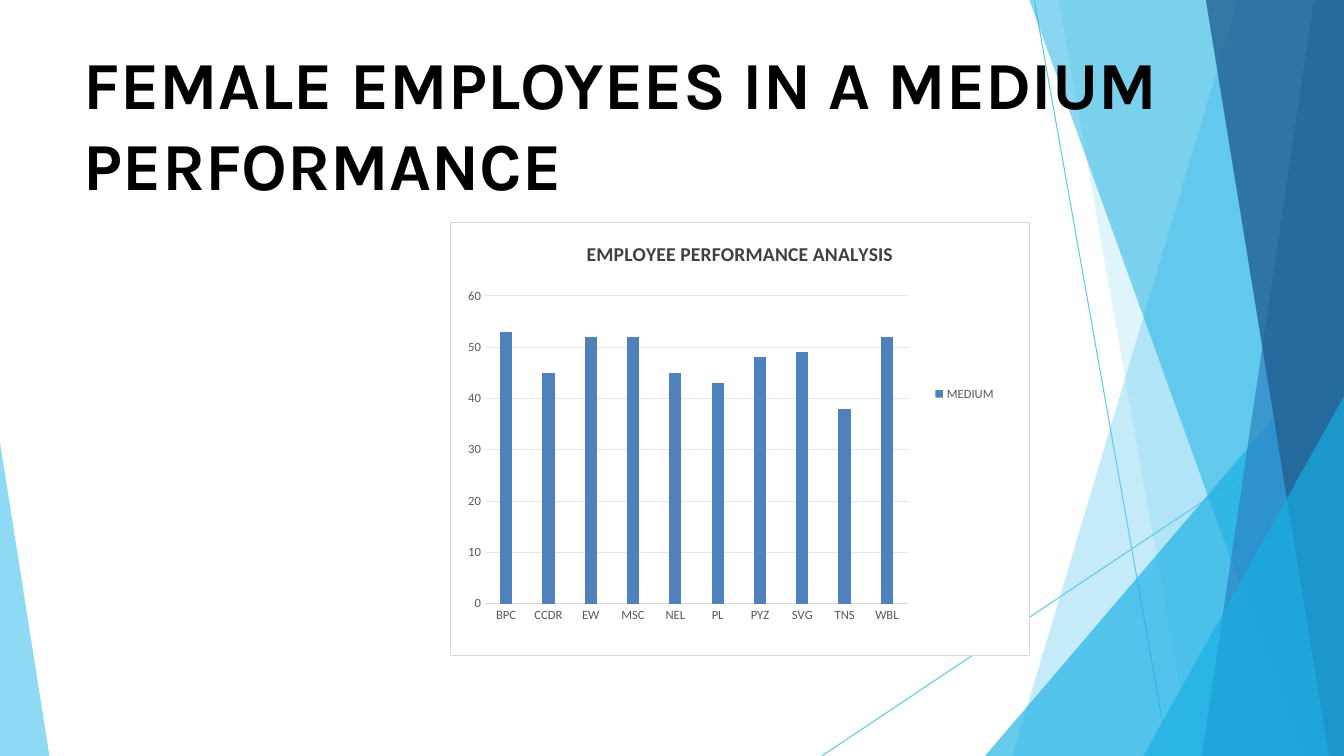
from lxml import etree
from pptx import Presentation, util as u
from pptx.chart.data import CategoryChartData
from pptx.dml.color import RGBColor
from pptx.enum import chart as ch, shapes, text
from pptx.oxml import parse_xml
from pptx.oxml.ns import nsdecls, qn

W, H = 13.33, 7.5
COLORS = {"sky": "5FCAEE", "cyan": "17AFE3", "blue": "2D83C3", "navy": "226192",
          "bar": "4F81BD", "edge": "D9D9D9", "grid": "E6E6E6", "label": "595959",
          "head": "404040", "black": "000000", "white": "FFFFFF"}
TITLE = "FEMALE EMPLOYEES IN A MEDIUM PERFORMANCE"
HEAD = "EMPLOYEE PERFORMANCE ANALYSIS"
SERIES = "MEDIUM"
SCORES = {"BPC": 53, "CCDR": 45, "EW": 52, "MSC": 52, "NEL": 45,
          "PL": 43, "PYZ": 48, "SVG": 49, "TNS": 38, "WBL": 52}
LINES = [(10.26, 0.01, 11.59, H), (W, 4.04, 8.15, H)]
# Colour, opacity in percent, corner points
FACETS = [
    ("sky", 36, [(W, 0), (12.28, 0), (10.04, H), (W, H)]),
    ("sky", 20, [(W, 0), (10.5, 0), (11.82, H), (W, H)]),
    ("cyan", 66, [(W, 3.33), (9.77, H), (W, H)]),
    ("cyan", 50, [(W, 0), (10.21, 0), (12.91, H), (W, H)]),
    ("blue", 70, [(W, 0), (13.03, 0), (11.92, H), (W, H)]),
    ("navy", 80, [(W, 0), (11.96, 0), (13.18, H), (W, H)]),
    ("cyan", 66, [(W, 3.93), (11.34, H), (W, H)]),
    ("sky", 70, [(0, 4.39), (0, H), (0.49, H)]),
]


def rgb(name):
    return RGBColor.from_string(COLORS[name])


def style(font, face, size, color, bold=False):
    font.name, font.size, font.bold = face, u.Pt(size), bold
    font.color.rgb = rgb(color)


def stroke(line, color):
    line.color.rgb = rgb(color)
    line.width = u.Pt(0.75)


def add_line(slide, ends):
    line = slide.shapes.add_connector(shapes.MSO_CONNECTOR.STRAIGHT, *map(u.Inches, ends))
    stroke(line.line, "sky")
    etree.SubElement(line._element.spPr, qn("a:effectLst"))


def add_facet(slide, color, alpha, points):
    spots = [(u.Inches(x), u.Inches(y)) for x, y in points]
    form = slide.shapes.build_freeform(*spots[0])
    form.add_line_segments(spots[1:], close=True)
    facet = form.convert_to_shape()
    facet.shadow.inherit = False
    facet.line.fill.background()
    facet.fill.solid()
    facet.fill.fore_color.rgb = rgb(color)
    tone = facet._element.spPr.find(".//" + qn("a:srgbClr"))
    etree.SubElement(tone, qn("a:alpha")).set("val", str(alpha * 1000))


def add_title(slide):
    box = slide.shapes.add_textbox(*map(u.Inches, (0.83, 0.42, 11.68, 2.42)))
    frame = box.text_frame
    frame.word_wrap = True
    frame.vertical_anchor = text.MSO_ANCHOR.TOP
    frame.margin_left = frame.margin_right = frame.margin_top = frame.margin_bottom = 0
    frame.text = TITLE
    style(frame.paragraphs[0].runs[0].font, "Karla", 48, "black", True)


def layout(**parts):
    """Manual chart layout, each part a fraction of the chart's size."""
    modes = {"layoutTarget": "inner"} if "w" in parts else {}
    modes.update(xMode="edge", yMode="edge", **parts)
    body = "".join(f'<c:{key} val="{val}"/>' for key, val in modes.items())
    return parse_xml(f'<c:layout {nsdecls("c")}><c:manualLayout>{body}'
                     '</c:manualLayout></c:layout>')


def add_chart(slide):
    data = CategoryChartData()
    data.categories = list(SCORES)
    data.add_series(SERIES, list(SCORES.values()))
    chart = slide.shapes.add_chart(ch.XL_CHART_TYPE.COLUMN_CLUSTERED,
                                   *map(u.Inches, (4.46, 2.2, 5.76, 4.31)), data).chart
    style(chart.font, "Calibri", 10, "black")

    chart.has_title = True
    frame = chart.chart_title.text_frame
    frame.text = HEAD
    style(frame.paragraphs[0].runs[0].font, "Calibri", 14, "head", True)

    plot = chart.plots[0]
    plot.gap_width, plot.overlap, plot.vary_by_categories = 246, -28, False
    fill = plot.series[0].format.fill
    fill.solid()
    fill.fore_color.rgb = rgb("bar")

    cat, val = chart.category_axis, chart.value_axis
    for axis in (cat, val):
        axis.major_tick_mark = axis.minor_tick_mark = ch.XL_TICK_MARK.NONE
        style(axis.tick_labels.font, "Calibri", 9, "label")
    stroke(cat.format.line, "edge")
    val.format.line.fill.background()
    val.minimum_scale, val.maximum_scale, val.major_unit = 0, 60, 10
    val.has_major_gridlines = True
    stroke(val.major_gridlines.format.line, "grid")

    chart.has_legend = True
    legend = chart.legend
    legend.position = ch.XL_LEGEND_POSITION.RIGHT
    legend.include_in_layout = False
    style(legend.font, "Calibri", 9, "label")

    root = chart._chartSpace
    for old in root.findall(".//" + qn("c:plotArea") + "/" + qn("c:layout")):
        old.getparent().remove(old)
    root.find(".//" + qn("c:plotArea")).insert(0, layout(x=0.06, y=0.17, w=0.73, h=0.71))
    for old in legend._element.findall(qn("c:layout")):
        legend._element.remove(old)
    # The legend stands clear of the plot, which ends at 0.79
    legend._element.find(qn("c:legendPos")).addnext(layout(x=0.83, y=0.37))
    root.find(qn("c:chart")).addnext(parse_xml(
        f'<c:spPr {nsdecls("c", "a")}>'
        f'<a:solidFill><a:srgbClr val="{COLORS["white"]}"/></a:solidFill>'
        f'<a:ln w="{u.Pt(0.75)}"><a:solidFill><a:srgbClr val="{COLORS["edge"]}"/>'
        '</a:solidFill></a:ln></c:spPr>'))


def main():
    deck = Presentation()
    deck.slide_width, deck.slide_height = u.Inches(W), u.Inches(H)
    slide = deck.slides.add_slide(deck.slide_layouts[6])
    for ends in LINES:
        add_line(slide, ends)
    for facet in FACETS:
        add_facet(slide, *facet)
    add_title(slide)
    add_chart(slide)
    deck.save("out.pptx")


if __name__ == "__main__":
    main()
